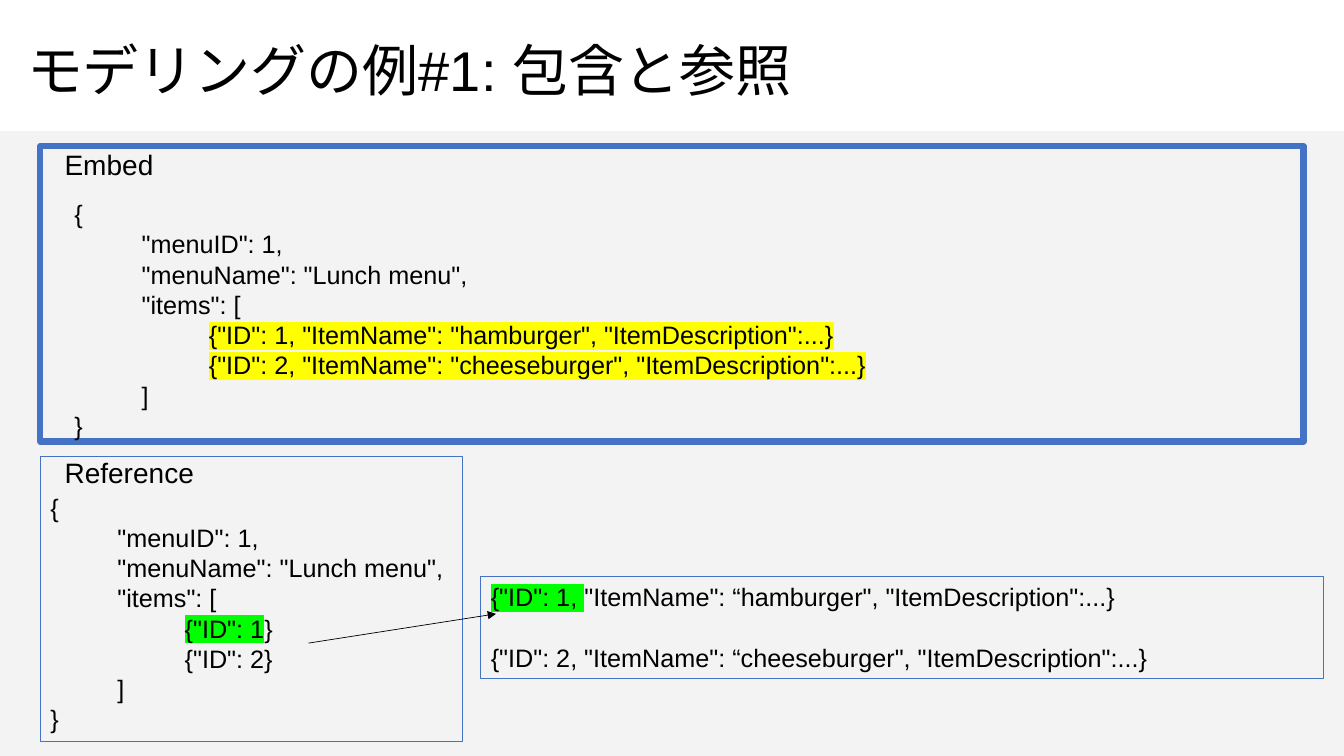
"""Build the slide that compares embedded and referenced menu items."""
from dataclasses import dataclass

from lxml.etree import SubElement
from pptx import Presentation
from pptx.dml.color import RGBColor
from pptx.enum.lang import MSO_LANGUAGE_ID
from pptx.enum.shapes import MSO_CONNECTOR, MSO_SHAPE
from pptx.enum.text import MSO_ANCHOR, PP_ALIGN
from pptx.oxml.ns import qn
from pptx.util import Inches, Pt


@dataclass(frozen=True)
class Theme:
    font: str = "Arial"
    text: str = "000000"
    panel: str = "F2F2F2"
    border: str = "4472C4"
    yellow: str = "FFFF00"
    green: str = "00FF00"
    title_size: int = 40
    heading_size: int = 20
    code_size: int = 18


theme = Theme()
deck = Presentation()
deck.slide_width, deck.slide_height = Inches(13.33), Inches(7.5)
page = deck.slides.add_slide(deck.slide_layouts[6])


def add_text(paragraph, text, size=theme.code_size, highlight=None, level=0):
    """Append a formatted span and indent its paragraph by level."""
    paragraph.alignment = PP_ALIGN.LEFT
    properties = paragraph._p.get_or_add_pPr()
    properties.set("marL", str(Inches(level * 2 / 3)))
    properties.set("indent", "0")
    span = paragraph.add_run()
    span.text = text
    span.font.size = Pt(size)
    span.font.color.rgb = RGBColor.from_string(theme.text)
    span.font.name = theme.font
    if highlight:
        marker = SubElement(span._r.get_or_add_rPr(), qn("a:highlight"))
        SubElement(marker, qn("a:srgbClr"), val=highlight)
        span._r.rPr.find(qn("a:latin")).addprevious(marker)
    return span


def add_box(left, top, width, height, fill=None, border=None, inset=(0.1, 0.05)):
    """Add a rectangle whose text starts at its top left."""
    box = page.shapes.add_shape(
        MSO_SHAPE.RECTANGLE, Inches(left), Inches(top), Inches(width), Inches(height))
    box.shadow.inherit = False
    if fill:
        box.fill.solid()
        box.fill.fore_color.rgb = RGBColor.from_string(fill)
    else:
        box.fill.background()
    if border:
        box.line.color.rgb = RGBColor.from_string(theme.border)
        box.line.width = Pt(border)
    else:
        box.line.fill.background()
    frame = box.text_frame
    frame.word_wrap = True
    frame.vertical_anchor = MSO_ANCHOR.TOP
    frame.margin_left = frame.margin_right = Inches(inset[0])
    frame.margin_top, frame.margin_bottom = Inches(inset[1]), Inches(min(inset[1], 0.05))
    return box


panel = add_box(0, 1.3, 13.33, 6.2, fill=theme.panel)
panel_color = panel.fill._xPr.find(qn("a:solidFill")).find(qn("a:srgbClr"))
SubElement(panel_color, qn("a:alpha"), val="89000")

title = page.shapes.add_textbox(Inches(0.17), Inches(0), Inches(11.5), Inches(1.45))
title.text_frame.word_wrap = True
title.text_frame.vertical_anchor = MSO_ANCHOR.MIDDLE
title_paragraph = title.text_frame.paragraphs[0]
title_paragraph.line_spacing = 0.9
title_span = add_text(title_paragraph, "モデリングの例#1: 包含と参照", size=theme.title_size)
title_span.font.language_id = MSO_LANGUAGE_ID.JAPANESE

add_box(0.4, 1.45, 12.53, 2.93, border=4.5)
embed_box = add_box(0.64, 1.92, 9.94, 2.4)
reference_box = add_box(0.4, 4.53, 4.19, 2.83, border=0.75, inset=(0.1, 0.35))
items_box = add_box(4.77, 5.72, 8.36, 1.01, border=0.75)

for heading, top in (("Embed", 1.46), ("Reference", 4.52)):
    heading_box = add_box(0.64, top, 6.61, 0.33, inset=(0, 0))
    add_text(heading_box.text_frame.paragraphs[0], heading, size=theme.heading_size)

menu_start = [
    (0, [("{", None)]),
    (1, [('"menuID": 1,', None)]),
    (1, [('"menuName": "Lunch menu",', None)]),
    (1, [('"items": [', None)]),
]
menu_end = [(1, [("]", None)]), (0, [("}", None)])]
embedded_items = [
    (2, [('{"ID": 1, "ItemName": "hamburger", "ItemDescription":...}', theme.yellow)]),
    (2, [('{"ID": 2, "ItemName": "cheeseburger", "ItemDescription":...}', theme.yellow)]),
]
item_references = [
    (2, [('{"ID": 1', theme.green), ("}", None)]),
    (2, [('{"ID": 2}', None)]),
]
referenced_items = [
    (0, [('{"ID": 1, ', theme.green),
         ('"ItemName": “hamburger", "ItemDescription":...}', None)]),
    (0, [('{"ID": 2, "ItemName": “cheeseburger", "ItemDescription":...}', None)]),
]

for box, lines in (
    (embed_box, menu_start + embedded_items + menu_end),
    (reference_box, menu_start + item_references + menu_end),
    (items_box, referenced_items),
):
    frame = box.text_frame
    for number, (level, spans) in enumerate(lines):
        paragraph = frame.add_paragraph() if number else frame.paragraphs[0]
        for text, highlight in spans:
            add_text(paragraph, text, highlight=highlight, level=level)
items_box.text_frame.paragraphs[1].space_before = Pt(21.6)

arrow = page.shapes.add_connector(
    MSO_CONNECTOR.STRAIGHT, Inches(3.06), Inches(6.38), Inches(4.92), Inches(6.09))
arrow.line.color.rgb = RGBColor.from_string(theme.text)
arrow.line.width = Pt(0.5)
SubElement(arrow.line._get_or_add_ln(), qn("a:tailEnd"), type="triangle")
SubElement(arrow._element.spPr, qn("a:effectLst"))

deck.save("out.pptx")
